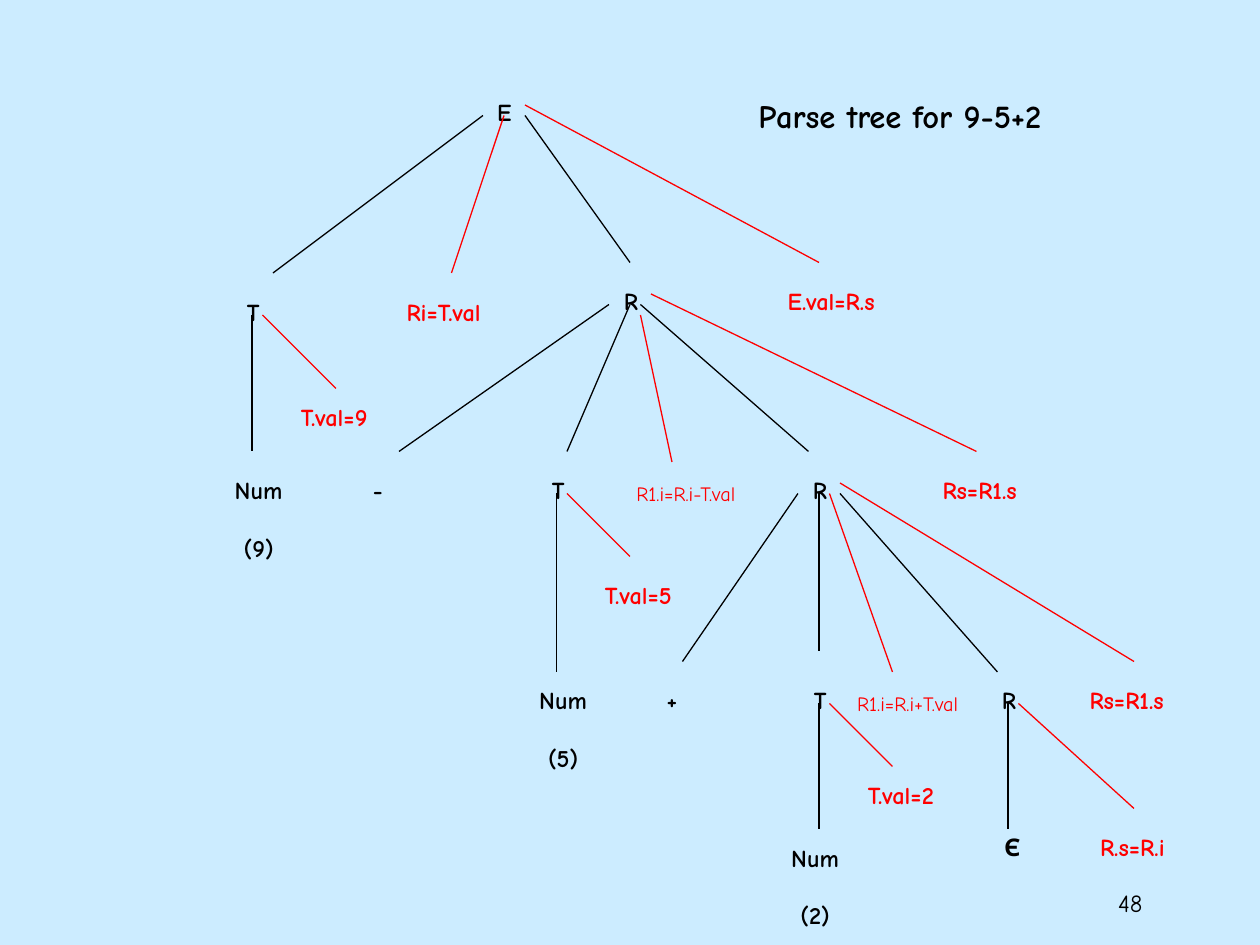
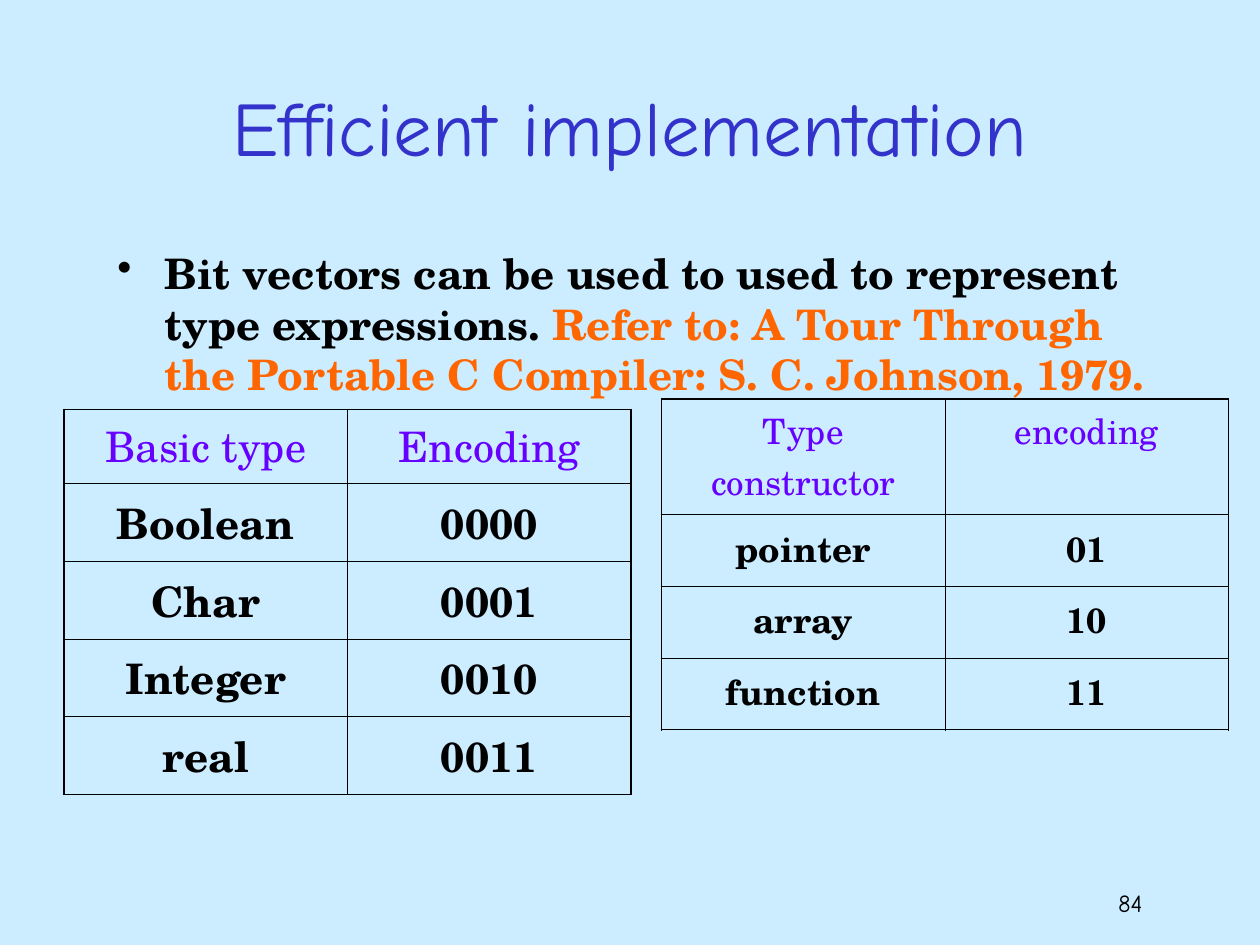
from typing import NamedTuple

from lxml import etree
from pptx import Presentation
from pptx.dml.color import RGBColor
from pptx.enum.shapes import MSO_CONNECTOR
from pptx.enum.text import MSO_ANCHOR as ANCHOR, MSO_AUTO_SIZE as AUTO, PP_ALIGN as ALIGN
from pptx.oxml.ns import qn
from pptx.util import Pt

COMIC, SERIF = "Comic Neue", "TeX Gyre Schola"
BLACK, RED, BLUE = "000000", "FF0000", "3333CC"
VIOLET, ORANGE, SKY = "6600FF", "FF6600", "CCECFF"
SUBSCRIPT = -25000


class Label(NamedTuple):
    text: str
    cx: float
    top: float
    width: float = 22


class Edge(NamedTuple):
    x1: float
    y1: float
    x2: float
    y2: float


class Grid(NamedTuple):
    left: float
    top: float
    size: float
    heights: list[float]
    rows: list[tuple[str, str]]


NODES = [
    Label("E", 288, 36),
    Label("T", 144.7, 150),
    Label("R", 360.4, 144),
    Label("Num\n(9)", 147.8, 252, 43),
    Label("-", 216, 252, 20),
    Label("T", 319, 252),
    Label("R", 468.4, 252),
    Label("Num\n(5)", 321.8, 372, 43),
    Label("+", 383.8, 372, 20),
    Label("T", 468.7, 372),
    Label("R", 576.4, 372),
    Label("Num\n(2)", 465.8, 462, 43),
    Label("Є", 578.5, 456, 24),
]
RULES = [
    Label("Ri=T.val", 255.2, 150, 60),
    Label("E.val=R.s", 476, 144, 66),
    Label("T.val=9", 192.8, 210, 56),
    Label("T.val=5", 366.6, 312, 56),
    Label("T.val=2", 516.8, 426, 56),
    Label("Rs=R1.s", 561, 252, 59),
    Label("Rs=R1.s", 645, 372, 59),
    Label("R.s=R.i", 648.5, 456, 54),
]
INHERITED_RULES = [
    Label("R1.i=R.i-T.val", 394, 258, 75),
    Label("R1.i=R.i+T.val", 520.2, 378, 75),
]
TREE_EDGES = [
    Edge(276, 66, 156, 156), Edge(300, 66, 360, 150),
    Edge(144, 180, 144, 258), Edge(348, 174, 228, 258),
    Edge(360, 174, 324, 258), Edge(366, 174, 462, 258),
    Edge(318, 282, 318, 384), Edge(456, 282, 390, 378),
    Edge(468, 282, 468, 372), Edge(480, 282, 570, 384),
    Edge(468, 402, 468, 474), Edge(576, 402, 576, 474),
]
RULE_EDGES = [
    Edge(288, 66, 258, 156), Edge(300, 60, 468, 150),
    Edge(150, 180, 192, 222), Edge(366, 180, 384, 264),
    Edge(372, 168, 558, 258), Edge(324, 282, 360, 318),
    Edge(474, 282, 510, 384), Edge(480, 276, 648, 378),
    Edge(474, 402, 510, 438), Edge(582, 402, 648, 462),
]
BASIC_TYPES = Grid(36.5, 234, 24, [42.3] + [44.4] * 4, [
    ("Basic type", "Encoding"), ("Boolean", "0000"), ("Char", "0001"),
    ("Integer", "0010"), ("real", "0011"),
])
CONSTRUCTORS = Grid(378, 228, 20, [66] + [41] * 3, [
    ("Type constructor", "encoding"), ("pointer", "01"), ("array", "10"),
    ("function", "11"),
])


def rgb(color: str) -> RGBColor:
    return RGBColor.from_string(color)


def add_run(p, text: str, *, size: float, color: str = BLACK, font: str = COMIC,
            bold: bool = False, baseline: int = 0) -> None:
    r = p.add_run()
    r.text = text
    f = r.font
    f.size, f.name, f.bold = Pt(size), font, bold
    f.color.rgb = rgb(color)
    if baseline:
        r._r.get_or_add_rPr().set("baseline", str(baseline))


def write(tf, text: str, *, align=ALIGN.LEFT, **fmt) -> None:
    """Fill the frame with one paragraph for each line of text."""
    for i, line in enumerate(text.split("\n")):
        p = tf.add_paragraph() if i else tf.paragraphs[0]
        p.alignment = align
        add_run(p, line, **fmt)


def add_box(s, left: float, top: float, width: float, height: float):
    tf = s.shapes.add_textbox(Pt(left), Pt(top), Pt(width), Pt(height)).text_frame
    tf.word_wrap = True
    return tf


def add_label(s, label: Label, *, size: float = 24, **fmt) -> None:
    """Place subscript text in an unwrapped box centred on label.cx."""
    lines = label.text.count("\n") + 1
    height = 7.2 + lines * size * 1.37
    tf = add_box(s, label.cx - label.width / 2, label.top, label.width, height)
    tf.word_wrap = False
    tf.auto_size = AUTO.SHAPE_TO_FIT_TEXT
    write(tf, label.text, size=size, baseline=SUBSCRIPT, **fmt)


def add_edge(s, edge: Edge, color: str) -> None:
    line = s.shapes.add_connector(MSO_CONNECTOR.STRAIGHT, *map(Pt, edge))
    line.line.color.rgb = rgb(color)
    line.line.width = Pt(0.75)
    etree.SubElement(line._element.spPr, qn("a:effectLst"))


def set_border(cell, side: str, width: float) -> None:
    ln = etree.SubElement(cell._tc.get_or_add_tcPr(), qn(f"a:ln{side}"), w=str(Pt(width)))
    fill = etree.SubElement(ln, qn("a:solidFill"))
    etree.SubElement(fill, qn("a:srgbClr"), val=BLACK)


def add_grid(s, grid: Grid) -> None:
    n_rows, n_cols = len(grid.rows), len(grid.rows[0])
    col_width = 162
    tbl = s.shapes.add_table(n_rows, n_cols, Pt(grid.left), Pt(grid.top),
                             Pt(n_cols * col_width), Pt(sum(grid.heights))).table
    tbl.first_row = tbl.horz_banding = False
    for col in tbl.columns:
        col.width = Pt(col_width)
    for i, (height, texts) in enumerate(zip(grid.heights, grid.rows)):
        tbl.rows[i].height = Pt(height)
        for j, text in enumerate(texts):
            cell = tbl.cell(i, j)
            outer = {"L": j == 0, "R": j == n_cols - 1, "T": i == 0, "B": i == n_rows - 1}
            for side, is_outer in outer.items():
                set_border(cell, side, 1.08 if is_outer else 0.45)
            cell.fill.background()
            write(cell.text_frame, text, align=ALIGN.CENTER, size=grid.size, font=SERIF,
                  color=BLACK if i else VIOLET, bold=i > 0)
            spacing = 1.55 if i else 1.45
            cell.text_frame.paragraphs[0].line_spacing = Pt(grid.size * spacing)


def add_slide(prs, number: int):
    s = prs.slides.add_slide(prs.slide_layouts[6])
    s.background.fill.solid()
    s.background.fill.fore_color.rgb = rgb(SKY)
    write(add_box(s, 510, 504, 150, 36), str(number), align=ALIGN.RIGHT, size=14)
    return s


def build_parse_tree(prs) -> None:
    s = add_slide(prs, 48)
    for node in NODES:
        add_label(s, node, align=ALIGN.CENTER, bold=True)
    for edge in TREE_EDGES:
        add_edge(s, edge, BLACK)
    for rule in RULES:
        add_label(s, rule, color=RED, bold=True)
    for rule in INHERITED_RULES:
        add_label(s, rule, size=20, color=RED)
    for edge in RULE_EDGES:
        add_edge(s, edge, RED)
    add_label(s, Label("Parse tree for 9-5+2", 514.2, 30, 179), size=32,
              align=ALIGN.CENTER, bold=True)


def build_encoding(prs) -> None:
    s = add_slide(prs, 84)
    title = add_box(s, 54, 24, 612, 96)
    title.vertical_anchor = ANCHOR.MIDDLE
    write(title, "Efficient implementation", align=ALIGN.CENTER, size=44, color=BLUE)

    p = add_box(s, 60, 138, 618, 108).paragraphs[0]
    pPr = p._p.get_or_add_pPr()
    pPr.set("marL", str(Pt(27)))
    pPr.set("indent", str(Pt(-27)))
    etree.SubElement(pPr, qn("a:buFontTx"))
    etree.SubElement(pPr, qn("a:buChar"), char="•")
    body = dict(size=24, font=SERIF, bold=True)
    add_run(p, "Bit vectors can be used to used to represent type expressions. ", **body)
    add_run(p, "Refer to: A Tour Through the Portable C Compiler: S. C. Johnson, 1979.",
            color=ORANGE, **body)

    for grid in (BASIC_TYPES, CONSTRUCTORS):
        add_grid(s, grid)


def main() -> None:
    prs = Presentation()
    prs.slide_width, prs.slide_height = Pt(720), Pt(540)
    build_parse_tree(prs)
    build_encoding(prs)
    prs.save("out.pptx")


if __name__ == "__main__":
    main()
